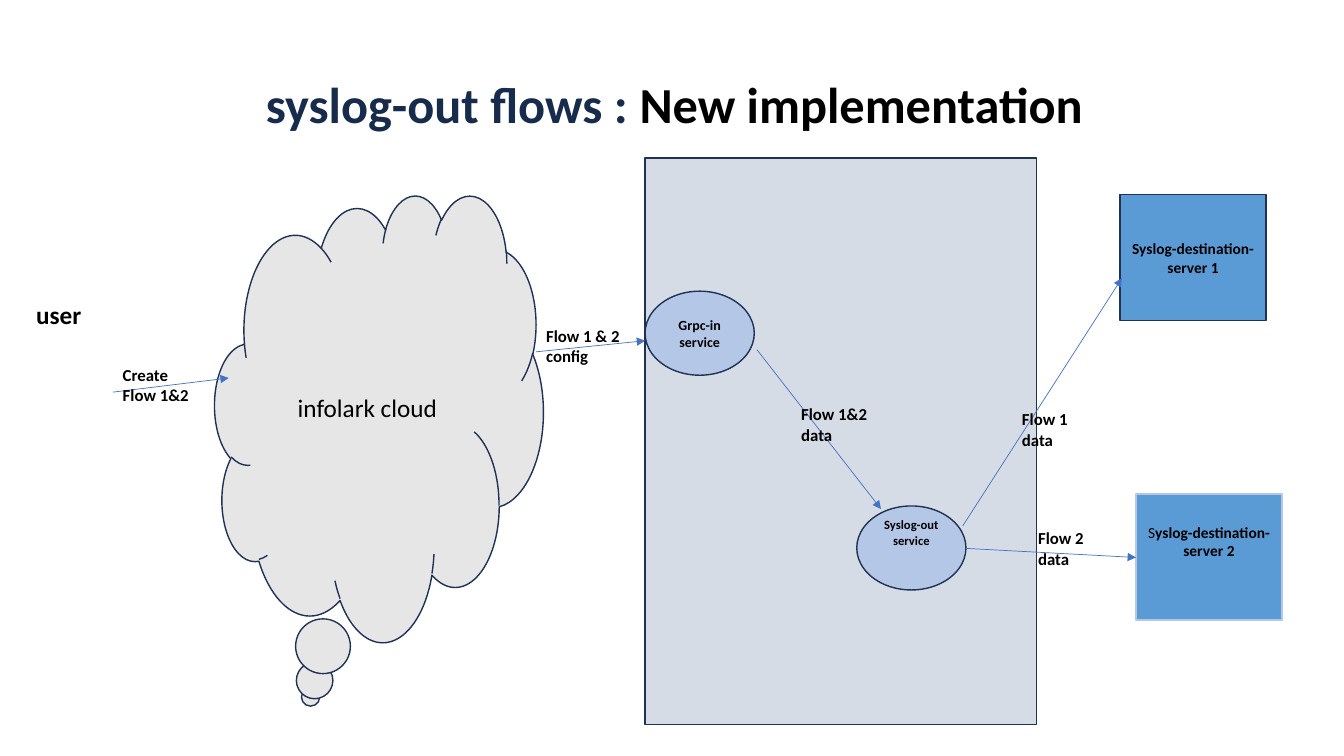
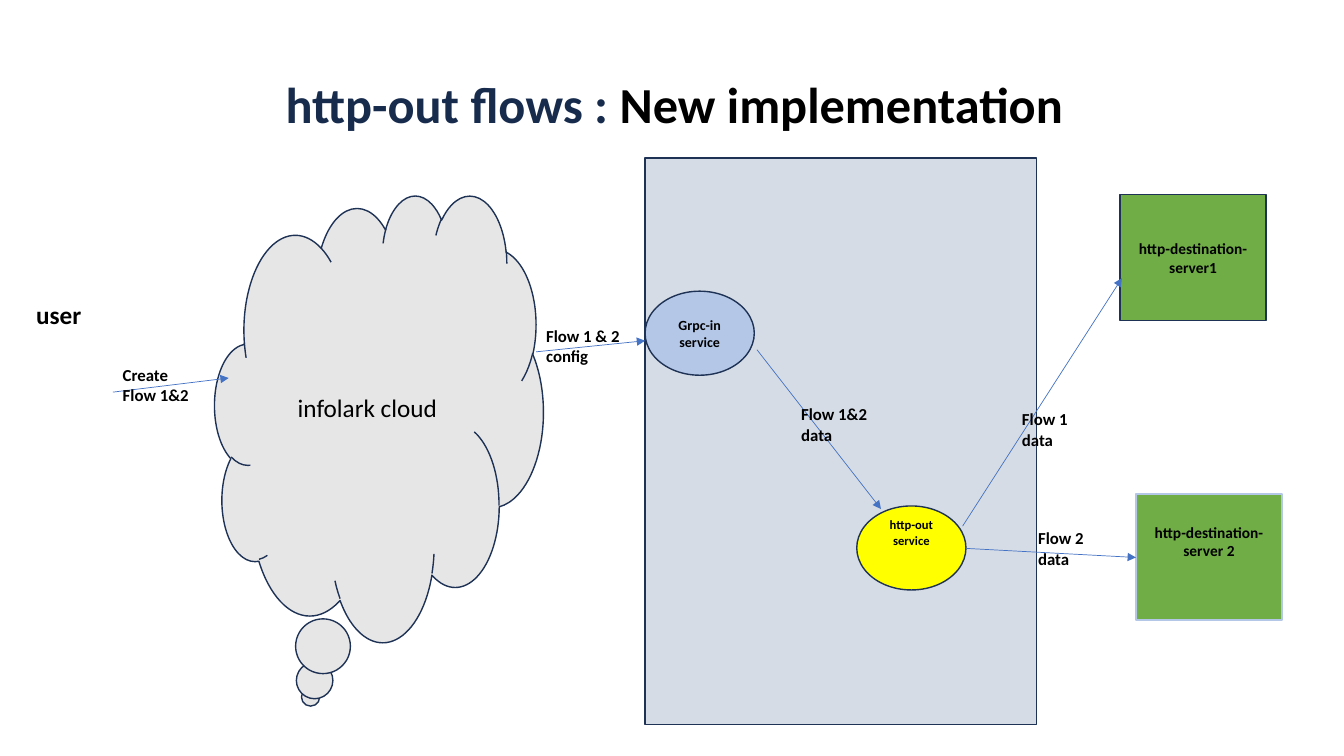
"""Build two flow diagrams of an out service: syslog and http."""
from lxml import etree
from pptx import Presentation
from pptx.dml.color import RGBColor
from pptx.enum import shapes, text
from pptx.oxml import ns
from pptx.util import Pt

INK, NAVY, EDGE, PALE, BLUE = "000000", "172B4D", "1E3256", "B4C7E7", "4472C4"
KIND = shapes.MSO_SHAPE
MID, LOW = text.MSO_ANCHOR.MIDDLE, text.MSO_ANCHOR.BOTTOM
LEFT, MIDST = text.PP_ALIGN.LEFT, text.PP_ALIGN.CENTER
LIFT = {"margin_top": Pt(0), "margin_bottom": Pt(22)}


def hue(code):
    return RGBColor.from_string(code)


def write(frame, lines, size, align, form):
    for name, value in form.items():
        setattr(frame, name, value)
    for spot, runs in enumerate(lines):
        par = frame.add_paragraph() if spot else frame.paragraphs[0]
        par.alignment = align
        for words, bold, tint in runs:
            run = par.add_run()
            run.text = words
            look = {"name": "Calibri", "size": Pt(size), "bold": bold}
            for name, value in look.items():
                setattr(run.font, name, value)
            run.font.color.rgb = hue(tint)


arrows = [
    (80.6, 280.1, 163.4, 270),
    (383, 251.3, 460.8, 243.4),
    (687.6, 375.8, 801.4, 198.7),
    (540.7, 249.8, 629.3, 363.6),
    (689.8, 391.7, 811.4, 398.2),
]
labels = [
    (18.7, 210.2, 51, 29, 18, ["user"]),
    (80.6, 257, 66, 36, 12, ["Create", "Flow 1&2"]),
    (383, 229, 73, 36, 12, ["Flow 1 & 2", "config"]),
    (565.2, 285.1, 66, 36, 12, ["Flow 1&2", "data"]),
    (722.9, 288.7, 51, 36, 12, ["Flow 1", "data"]),
    (734.4, 373.7, 51, 36, 12, ["Flow 2", "data"]),
]
pages = [
    ("syslog-out", "Syslog-out service", PALE, "5B9BD5",
     [("Syslog-destination-server 1", True, INK)],
     [("S", False, INK), ("yslog-destination-server 2", True, INK)]),
    ("http-out", "http-out service", "FFFF00", "70AD47",
     [("http-destination-server1", True, INK)],
     [("http-destination-server 2", True, INK)]),
]

deck = Presentation()
deck.slide_width, deck.slide_height = Pt(960), Pt(540)

for topic, out, glow, paint, first, second in pages:
    slide = deck.slides.add_slide(deck.slide_layouts[5])
    title = slide.shapes.title
    place = {"left": Pt(9.4), "top": Pt(4.3), "width": Pt(944.6), "height": Pt(94.4)}
    for name, value in place.items():
        setattr(title, name, value)
    head = [(topic + " flows : ", True, NAVY), ("New implementation", True, INK)]
    write(title.text_frame, [head], 36, MIDST,
          {"vertical_anchor": LOW, "auto_size": text.MSO_AUTO_SIZE.NONE})

    grpc = [[("Grpc-in", True, INK)], [("service", True, INK)]]
    cloud = [[("infolark cloud", False, INK)]]
    parts = [
        (KIND.CLOUD_CALLOUT, 153.4, 139, 234.7, 319, "E7E6E6", EDGE, cloud, 18, {}),
        (KIND.RECTANGLE, 460.8, 113, 279.4, 404.6, "D6DCE5", EDGE, [], 18, {}),
        (KIND.RECTANGLE, 800, 139, 104.4, 90, paint, EDGE, [first], 11, {}),
        (KIND.OVAL, 460.8, 208, 78, 60, PALE, EDGE, grpc, 10, {}),
        (KIND.OVAL, 612, 361.4, 78, 60, glow, EDGE, [[(out, True, INK)]], 9, LIFT),
        (KIND.RECTANGLE, 811.4, 352.8, 104.4, 90, paint, PALE, [second], 11, LIFT),
    ]
    for kind, left, top, wide, high, fill, edge, lines, size, form in parts:
        shape = slide.shapes.add_shape(kind, Pt(left), Pt(top), Pt(wide), Pt(high))
        shape.shadow.inherit = False
        shape.fill.solid()
        shape.fill.fore_color.rgb = hue(fill)
        shape.line.color.rgb = hue(edge)
        shape.line.width = Pt(1)
        write(shape.text_frame, lines, size, MIDST,
              {"vertical_anchor": MID, "word_wrap": True, **form})

    for ends in arrows:
        line = slide.shapes.add_connector(shapes.MSO_CONNECTOR.STRAIGHT, *map(Pt, ends))
        line.line.color.rgb = hue(BLUE)
        line.line.width = Pt(0.5)
        tip = etree.SubElement(line.line._get_or_add_ln(), ns.qn("a:tailEnd"))
        tip.set("type", "triangle")
        etree.SubElement(line._element.spPr, ns.qn("a:effectLst"))

    for left, top, wide, high, size, lines in labels:
        box = slide.shapes.add_textbox(Pt(left), Pt(top), Pt(wide), Pt(high))
        write(box.text_frame, [[(words, True, INK)] for words in lines], size, LEFT,
              {"word_wrap": True})

deck.save("out.pptx")
